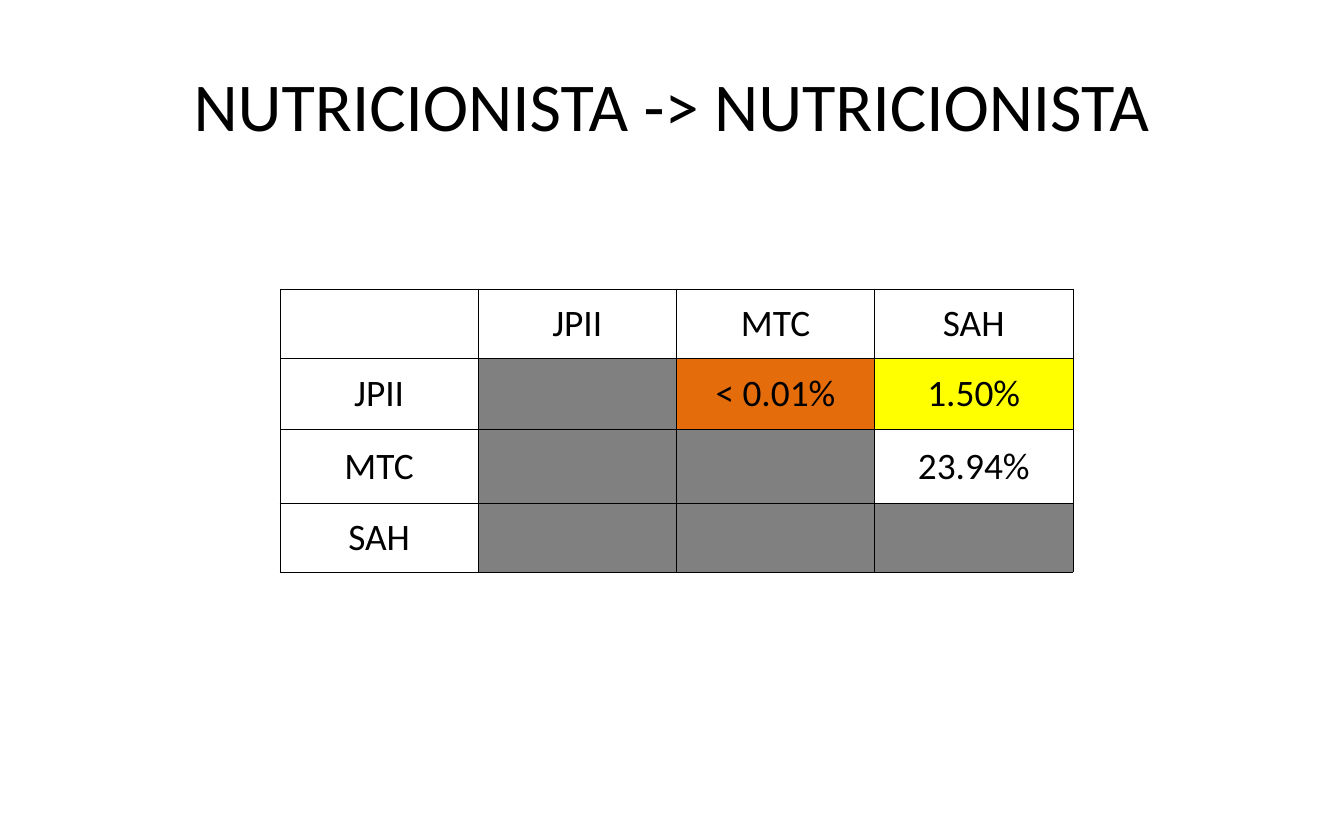
from lxml import etree
from pptx import Presentation
from pptx.dml.color import RGBColor
from pptx.enum.text import MSO_ANCHOR, PP_ALIGN
from pptx.oxml.ns import qn
from pptx.util import Pt

PX = 914400 // 112  # EMU per pixel
CENTER = PP_ALIGN.CENTER
MIDDLE = MSO_ANCHOR.MIDDLE
FONT = "Calibri"
BLACK = RGBColor(0x00, 0x00, 0x00)
GRAY = RGBColor(0x80, 0x80, 0x80)
ORANGE = RGBColor(0xE4, 0x6C, 0x0A)
YELLOW = RGBColor(0xFF, 0xFF, 0x00)

SITES = ["JPII", "MTC", "SAH"]
# (row site, column site): value and fill
RESULTS = {
    ("JPII", "MTC"): ("< 0.01%", ORANGE),
    ("JPII", "SAH"): ("1.50%", YELLOW),
    ("MTC", "SAH"): ("23.94%", None),
}


def px(n):
    return n * PX


def write(tf, text, size):
    p = tf.paragraphs[0]
    p.alignment = CENTER
    r = p.add_run()
    r.text = text
    r.font.size = Pt(size)
    r.font.name = FONT
    r.font.color.rgb = BLACK


def add_borders(cell):
    tcPr = cell._tc.get_or_add_tcPr()
    for i, side in enumerate(("a:lnL", "a:lnR", "a:lnT", "a:lnB")):
        ln = etree.Element(qn(side), w=str(Pt(0.5)))
        fill = etree.SubElement(ln, qn("a:solidFill"))
        etree.SubElement(fill, qn("a:srgbClr"), val=str(BLACK))
        tcPr.insert(i, ln)


def format_cell(cell, text, color):
    cell.vertical_anchor = MIDDLE
    cell.margin_left = cell.margin_right = cell.margin_top = px(1)
    cell.margin_bottom = 0
    if color is None:
        cell.fill.background()
    else:
        cell.fill.solid()
        cell.fill.fore_color.rgb = color
    if text:
        write(cell.text_frame, text, 24)
    add_borders(cell)


def add_title(slide, text, left, top, width, height):
    title = slide.shapes.title
    title.left, title.top = px(left), px(top)
    title.width, title.height = px(width), px(height)
    tf = title.text_frame
    tf.vertical_anchor = MIDDLE
    write(tf, text, 44)


def add_site_matrix(slide, left, top, width, row_heights):
    n = len(SITES) + 1
    frame = slide.shapes.add_table(
        n, n, px(left), px(top), px(width), px(sum(row_heights)))
    table = frame.table
    table.first_row = table.horz_banding = False
    for col in table.columns:
        col.width = px(width) // n
    for row, height in zip(table.rows, row_heights):
        row.height = px(height)

    # Headings in the first row and column
    format_cell(table.cell(0, 0), "", None)
    for i, site in enumerate(SITES, 1):
        format_cell(table.cell(0, i), site, None)
        format_cell(table.cell(i, 0), site, None)

    # Pairs without a result are gray
    for i, row_site in enumerate(SITES, 1):
        for j, col_site in enumerate(SITES, 1):
            text, color = RESULTS.get((row_site, col_site), ("", GRAY))
            format_cell(table.cell(i, j), text, color)


prs = Presentation()
prs.slide_width, prs.slide_height = px(1344), px(840)
slide = prs.slides.add_slide(prs.slide_layouts[5])  # title only
add_title(slide, "NUTRICIONISTA -> NUTRICIONISTA", 67, 34, 1210, 140)
add_site_matrix(slide, 280, 289, 793, [69, 71, 74, 69])
prs.save("out.pptx")
